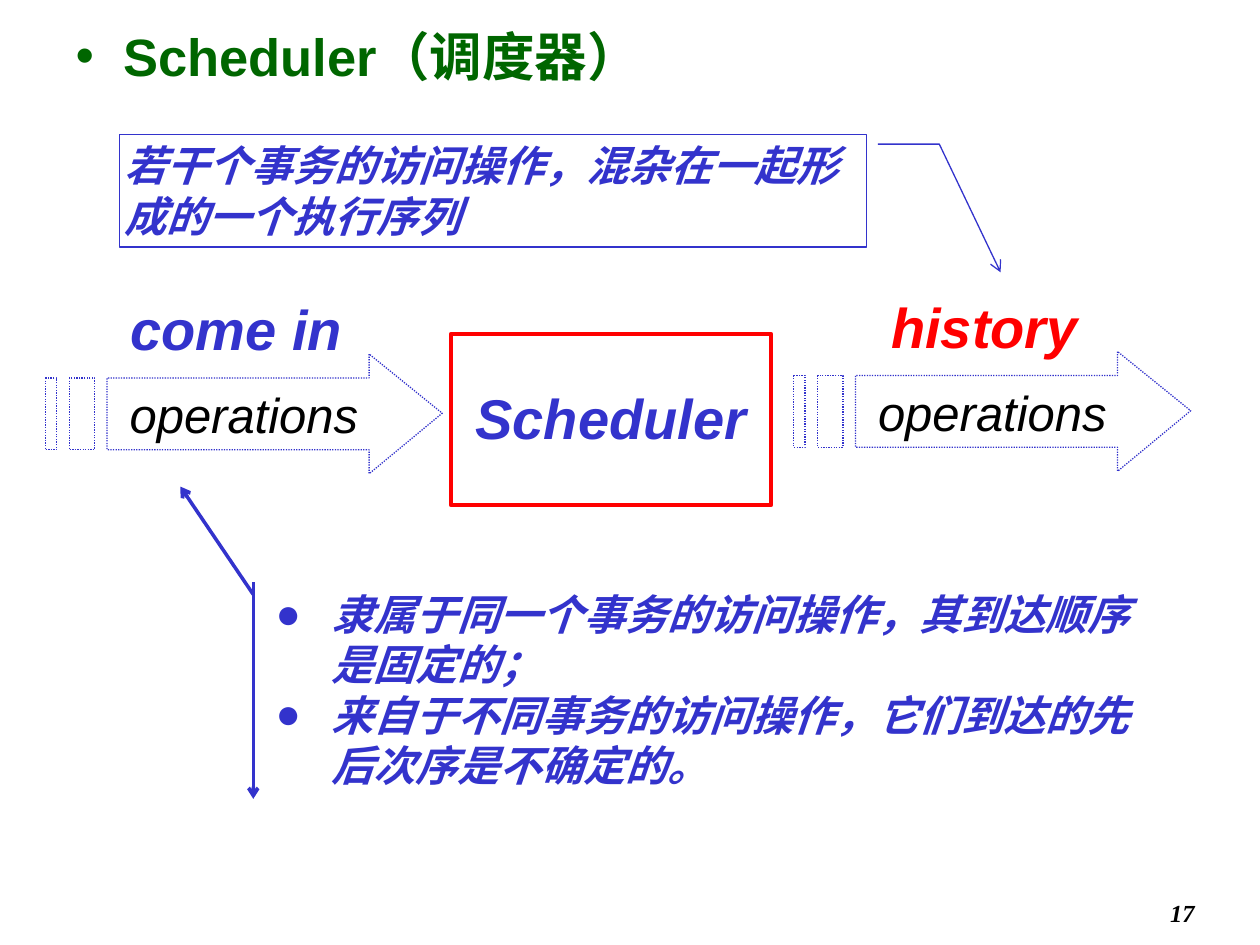
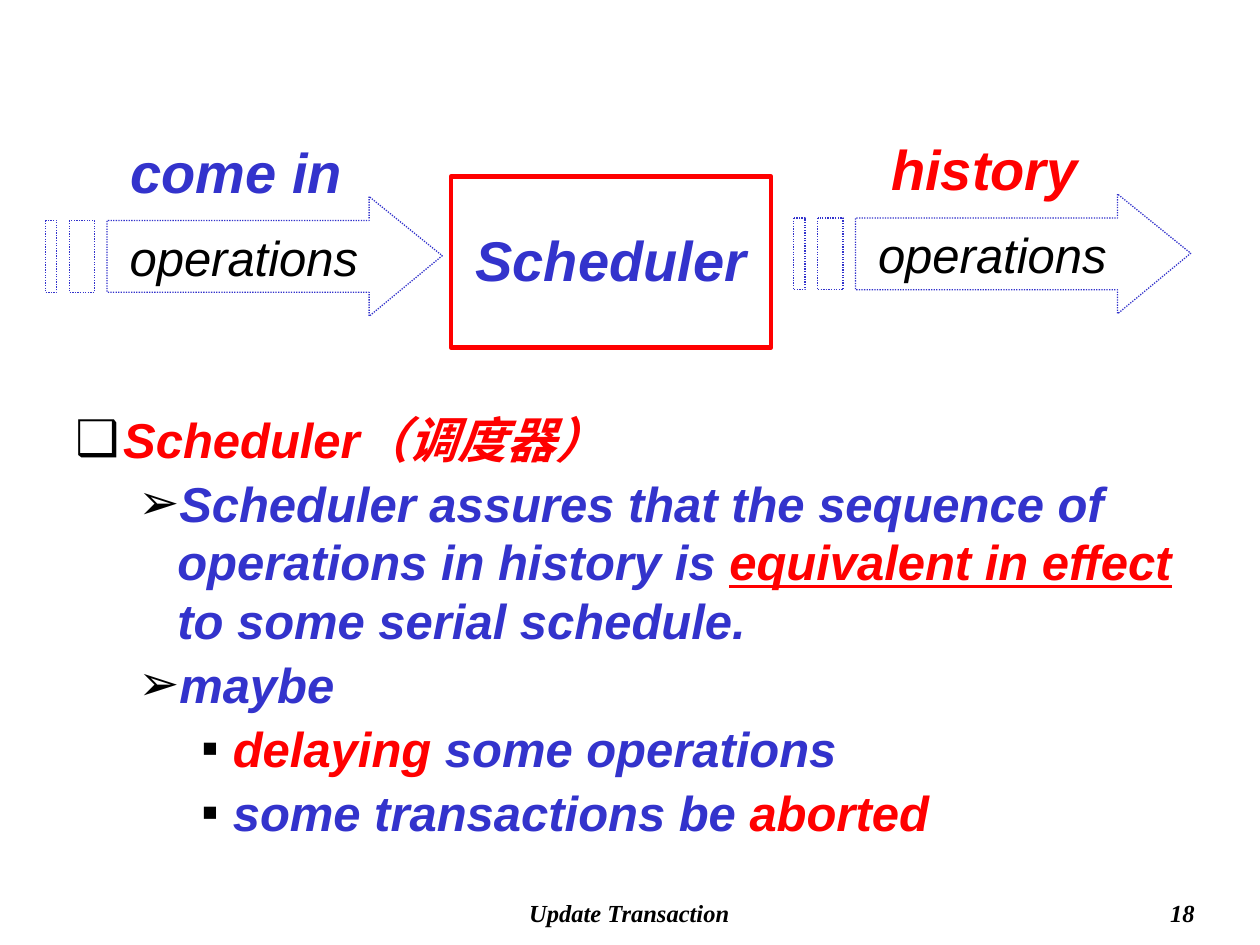
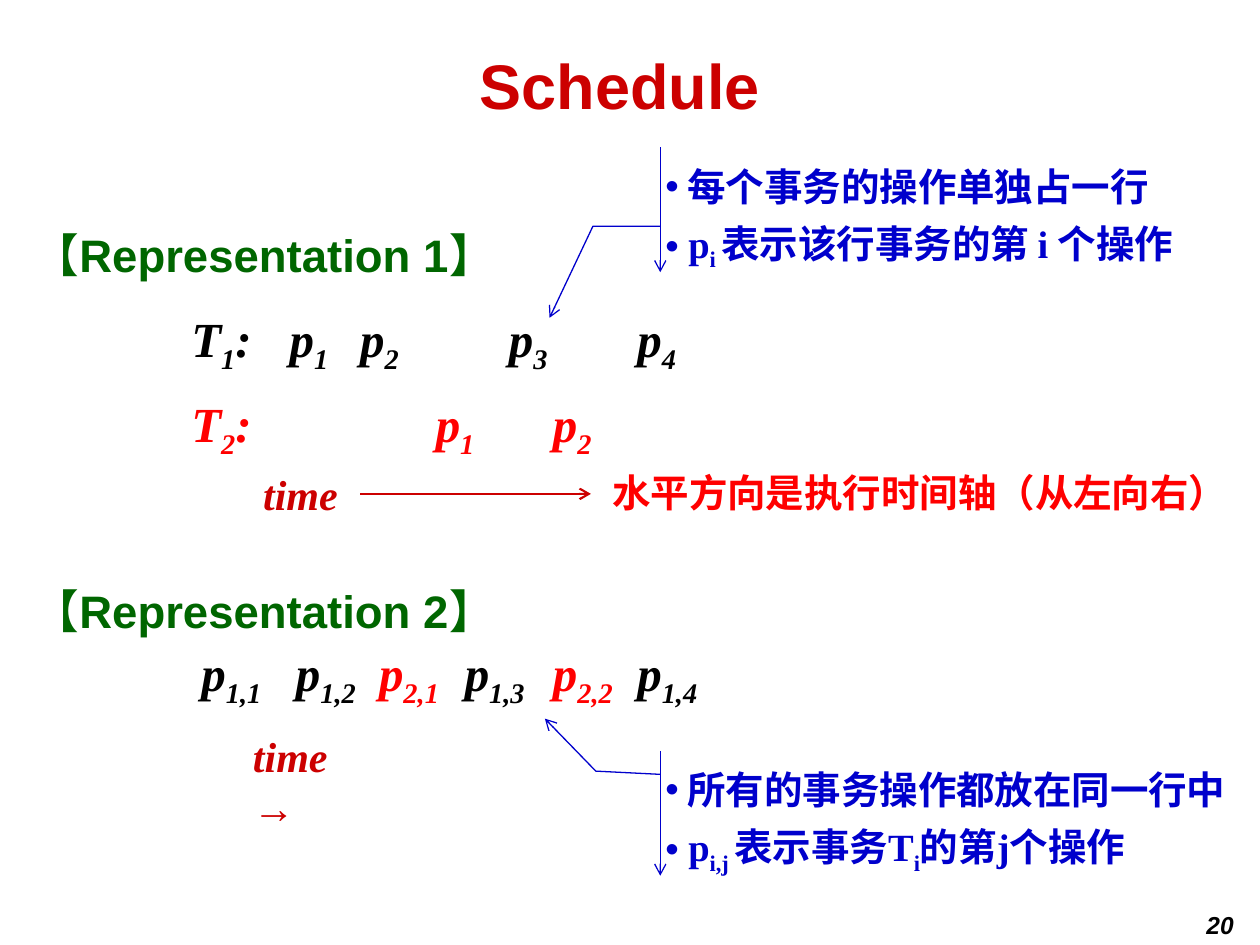
from lxml import etree
from pptx import Presentation
from pptx.dml.color import RGBColor
from pptx.enum.dml import MSO_LINE
from pptx.enum.shapes import MSO_CONNECTOR, MSO_SHAPE
from pptx.enum.text import MSO_ANCHOR, PP_ALIGN
from pptx.oxml.ns import qn
from pptx.util import Inches, Pt

LEFT, CENTER, RIGHT = PP_ALIGN.LEFT, PP_ALIGN.CENTER, PP_ALIGN.RIGHT
TOP, MIDDLE = MSO_ANCHOR.TOP, MSO_ANCHOR.MIDDLE
RECTANGLE = MSO_SHAPE.RECTANGLE
BAR_CALLOUT = MSO_SHAPE.LINE_CALLOUT_1_ACCENT_BAR
BENT_BAR_CALLOUT = MSO_SHAPE.LINE_CALLOUT_2_ACCENT_BAR
BENT_BOX_CALLOUT = MSO_SHAPE.LINE_CALLOUT_2
STRAIGHT = MSO_CONNECTOR.STRAIGHT
DOTTED = MSO_LINE.ROUND_DOT
TITLE_ONLY, BLANK = 5, 6

COLORS = {
    "black": "000000", "white": "FFFFFF", "red": "FF0000", "title": "CC0000",
    "green": "006600", "violet": "3333CC", "blue": "0000CC",
}
SANS, SERIF, CJK = "Arial", "Times New Roman", "Noto Sans CJK SC"
INSETS = (0.1, 0.05, 0.1, 0.05)

PAGE = {"name": SERIF, "size": 14, "color": "black", "bold": True, "italic": True}
HEADING = {"name": SANS, "size": 30, "color": "green", "bold": True}
TITLE = {"name": SANS, "size": 36, "color": "title", "bold": True}
LABEL = {"name": SANS, "size": 32, "color": "violet", "bold": True, "italic": True}
FLOW = {"name": SANS, "size": 28, "color": "black", "italic": True}
POINTS = {"name": SANS, "size": 28, "color": "violet", "bold": True, "italic": True}
REMARK = {"name": SERIF, "size": 24, "color": "violet", "bold": True, "italic": True}
SECTION = {"name": SANS, "size": 26, "color": "green", "bold": True}
FORMULA = {"name": SERIF, "size": 28, "color": "black", "bold": True, "italic": True}
TIME = {"name": SERIF, "size": 24, "color": "title", "bold": True, "italic": True}
NOTE = {"name": SERIF, "size": 22, "color": "blue", "bold": True}
RED = {"color": "red"}


def rgb(color):
    return RGBColor.from_string(COLORS[color])


class Deck:
    def __init__(self):
        self.presentation = Presentation()
        self.presentation.slide_width = Inches(10)
        self.presentation.slide_height = Inches(7.5)
        self.slide = None

    def add_slide(self, layout):
        layouts = self.presentation.slide_layouts
        self.slide = self.presentation.slides.add_slide(layouts[layout])

    def add_run(self, paragraph, text, style, subscript=False):
        run = paragraph.add_run()
        run.text = text
        values = dict(style)
        run.font.color.rgb = rgb(values.pop("color"))
        values["size"] = Pt(values["size"])
        for name, value in values.items():
            setattr(run.font, name, value)
        properties = run._r.get_or_add_rPr()
        etree.SubElement(properties, qn("a:ea"), typeface=CJK)
        if subscript:
            properties.set("baseline", "-25000")

    def format_paragraph(self, paragraph, layout):
        for name in ("alignment", "space_before", "line_spacing", "level"):
            if name in layout:
                setattr(paragraph, name, layout[name])
        properties = paragraph._p.get_or_add_pPr()
        if "indent" in layout:
            margin, hanging = layout["indent"]
            properties.set("marL", str(Inches(margin)))
            properties.set("indent", str(Inches(-hanging)))
        if "bullet" in layout:
            if "bullet_color" in layout:
                color = etree.SubElement(properties, qn("a:buClr"))
                etree.SubElement(color, qn("a:srgbClr"), val=COLORS[layout["bullet_color"]])
            etree.SubElement(properties, qn("a:buFont"), typeface=SANS)
            etree.SubElement(properties, qn("a:buChar"), char=layout["bullet"])
        if "tabs" in layout:
            stops = etree.SubElement(properties, qn("a:tabLst"))
            for position in layout["tabs"]:
                etree.SubElement(stops, qn("a:tab"), pos=str(Inches(position)), algn="l")

    def set_text(self, shape, paragraphs, style, insets=INSETS, anchor=TOP, wrap=True, **shared):
        frame = shape.text_frame
        frame.word_wrap = wrap
        frame.vertical_anchor = anchor
        for side, inset in zip(("left", "top", "right", "bottom"), insets):
            setattr(frame, "margin_" + side, Inches(inset))
        for index, (runs, layout) in enumerate(paragraphs):
            paragraph = frame.add_paragraph() if index else frame.paragraphs[0]
            self.format_paragraph(paragraph, {"alignment": LEFT, **shared, **layout})
            for text, changes in runs:
                for part, piece in enumerate(text.split("_")):
                    if piece:
                        self.add_run(paragraph, piece, {**style, **changes}, part % 2 == 1)

    def set_line(self, shape, text, style, **options):
        self.set_text(shape, [([(text, {})], {})], style, **options)

    def title(self, box, text, style, **options):
        shape = self.slide.shapes.title
        for name, value in zip(("left", "top", "width", "height"), box):
            setattr(shape, name, Inches(value))
        self.set_line(shape, text, style, **options)

    def text_box(self, box):
        return self.slide.shapes.add_textbox(*map(Inches, box))

    def text(self, box, text, style, **options):
        self.set_line(self.text_box(box), text, style, **options)

    def outline(self, shape, color, width):
        shape.shadow.inherit = False
        shape.line.color.rgb = rgb(color)
        shape.line.width = Pt(width)

    def arrowhead(self, shape):
        line = shape._element.spPr.find(qn("a:ln"))
        etree.SubElement(line, qn("a:tailEnd"), type="arrow")

    def shape(self, kind, box, line=None, fill=None, adjustments=()):
        shape = self.slide.shapes.add_shape(kind, *map(Inches, box))
        shape.shadow.inherit = False
        for index, value in enumerate(adjustments):
            shape.adjustments[index] = value
        if fill:
            shape.fill.solid()
            shape.fill.fore_color.rgb = rgb(fill)
        else:
            shape.fill.background()
        if line:
            self.outline(shape, *line)
        else:
            shape.line.fill.background()
        return shape

    def callout(self, kind, box, line, adjustments, fill=None):
        shape = self.shape(kind, box, line, fill, adjustments)
        self.arrowhead(shape)
        return shape

    def arrow(self, start, end, color, width):
        ends = map(Inches, (*start, *end))
        connector = self.slide.shapes.add_connector(STRAIGHT, *ends)
        connector.line.color.rgb = rgb(color)
        connector.line.width = Pt(width)
        self.arrowhead(connector)
        etree.SubElement(connector._element.spPr, qn("a:effectLst"))

    def flow_arrow(self, left, top, label, color):
        upper, lower = 0.19, 0.76
        head = [(2.57, 0), (2.57, upper), (0.49, upper), (0.49, lower),
                (2.57, lower), (2.57, 0.95), (3.15, 0.47)]
        bars = [[(start, upper), (start, lower), (end, lower), (end, upper)]
                for start, end in ((0.19, 0.39), (0, 0.09))]
        builder = None
        for contour in [head] + bars:
            points = [(Inches(left + x), Inches(top + y)) for x, y in contour]
            if builder is None:
                builder = self.slide.shapes.build_freeform(*points[0])
            else:
                builder.move_to(*points[0])
            builder.add_line_segments(points[1:], close=True)
        shape = builder.convert_to_shape()
        shape.fill.background()
        self.outline(shape, "violet", 0.75)
        shape.line.dash_style = DOTTED
        self.set_line(shape, "operations", FLOW, anchor=MIDDLE, wrap=False, alignment=CENTER)
        self.text((left + 0.44, top - 0.52, 2.15, 0.63), label,
                  {**LABEL, "color": color}, alignment=CENTER)

    def scheduler_diagram(self, top):
        shape = self.shape(RECTANGLE, (3.58, top, 2.54, 1.36), ("red", 2.5))
        self.set_line(shape, "Scheduler", LABEL, insets=(0.1, 0.39, 0.1, 0.39),
                      alignment=CENTER)
        self.flow_arrow(0.36, top + 0.16, "come in", "violet")
        self.flow_arrow(6.3, top + 0.14, "history", "red")

    def page_number(self, number):
        self.text((7.5, 7.08, 2.08, 0.33), number, PAGE, alignment=RIGHT)

    def section(self, top, text):
        runs = [("【", {"name": CJK}), (text, {}), ("】", {"name": CJK})]
        self.set_text(self.text_box((0.17, top, 4.27, 0.54)), [(runs, {})], SECTION,
                      space_before=Pt(5))

    def representation_note(self, top, adjustments, lines):
        shape = self.callout(BENT_BAR_CALLOUT, (5.24, top, 4.65, 0.99), ("blue", 0.75),
                             adjustments)
        self.set_text(shape, [([(line, {})], {}) for line in lines], NOTE,
                      insets=(0.04, 0.05, 0.1, 0.05), bullet="•", line_spacing=1.2)


deck = Deck()

deck.add_slide(TITLE_ONLY)
deck.title((0.5, 0.14, 9, 0.7), "Scheduler（调度器）", HEADING,
           indent=(0.38, 0.38), bullet="•", space_before=Pt(6))
deck.scheduler_diagram(2.65)
arrivals = ["隶属于同一个事务的访问操作，其到达顺序是固定的；",
            "来自于不同事务的访问操作，它们到达的先后次序是不确定的。"]
arrival_note = deck.callout(BAR_CALLOUT, (2.09, 4.62, 7.24, 1.72), ("violet", 2),
                            (0.057, -0.011, -0.441, -0.091), "white")
deck.set_text(arrival_note, [([(line, {})], {}) for line in arrivals], REMARK,
              indent=(0.44, 0.44), bullet="●")
history_note = deck.callout(BENT_BOX_CALLOUT, (0.95, 1.07, 5.93, 0.89), ("violet", 0.75),
                            (0.083, 1.015, 0.083, 1.097, 1.226, 1.179))
deck.set_line(history_note, "若干个事务的访问操作，混杂在一起形成的一个执行序列", REMARK,
              insets=(0.04,) * 4)
deck.page_number("17")

deck.add_slide(BLANK)
deck.scheduler_diagram(1.4)
first = {"indent": (0.38, 0.38), "bullet": "❑"}
second = {"level": 1, "indent": (0.81, 0.31), "bullet": "➢"}
third = {"level": 2, "indent": (1.25, 0.25), "bullet": "▪"}
points = [
    ([("Scheduler（调度器）", RED)], first),
    ([("Scheduler assures that the sequence of operations in history is ", {}),
      ("equivalent in effect", {"color": "red", "underline": True}),
      (" to some serial schedule.", {})], second),
    ([("maybe", {})], second),
    ([("delaying ", RED), ("some operations", {})], third),
    ([("some transactions be ", {}), ("aborted", RED)], third),
]
deck.set_text(deck.shape(RECTANGLE, (0.5, 3.2, 9, 3.59), fill="white"), points, POINTS,
              space_before=Pt(2.8), bullet_color="black")
deck.text((2.83, 7.08, 4.33, 0.33), "Update Transaction", PAGE, alignment=CENTER)
deck.page_number("18")

deck.add_slide(TITLE_ONLY)
deck.title((0.67, 0.17, 8.5, 1), "Schedule", TITLE, anchor=MIDDLE, alignment=CENTER)
deck.section(1.75, "Representation 1")
deck.section(4.58, "Representation 2")
rows = [
    ([("T_1_:\tp_1_\tp_2_\tp_3_\tp_4_", {})], {"tabs": (0.78, 1.34, 2.52, 3.54)}),
    ([("T_2_:\tp_1_\tp_2_", RED)], {"tabs": (1.94, 2.87), "space_before": Pt(10)}),
]
deck.set_text(deck.text_box((1.42, 2.41, 4.19, 1.2)), rows, FORMULA,
              insets=(0.1, 0.04, 0.1, 0.08))
sequence = [("p_1,1_\tp_1,2_\t", {}), ("p_2,1_\t", RED), ("p_1,3_\t", {}),
            ("p_2,2_\t", RED), ("p_1,4_", {})]
deck.set_text(deck.text_box((1.5, 5.05, 5.25, 0.57)), [(sequence, {})], FORMULA,
              tabs=(0.75, 1.41, 2.09, 2.79, 3.46))
deck.text((1.91, 5.75, 1.1, 0.5), "time →", TIME)
deck.representation_note(5.96, (0.188, 0, 0.162, -0.11, -0.259, -0.197),
                         [" 所有的事务操作都放在同一行中", " p_i,j _表示事务T_i_的第j个操作"])
deck.representation_note(1.17, (0.632, 0, 0.632, -0.115, 1.366, -0.189),
                         [" 每个事务的操作单独占一行", " p_i _表示该行事务的第 i 个操作"])
deck.text((1.99, 3.67, 0.9, 0.5), "time", TIME)
deck.arrow((2.86, 3.92), (4.69, 3.92), "title", 1.25)
deck.text((4.86, 3.67, 5.03, 0.47), "水平方向是执行时间轴（从左向右）", {**NOTE, "color": "red"},
          insets=(0, 0.05, 0, 0.05))
deck.text((9.25, 7.17, 0.64, 0.32), "20", {**PAGE, "name": SANS}, alignment=RIGHT)

deck.presentation.save("out.pptx")
